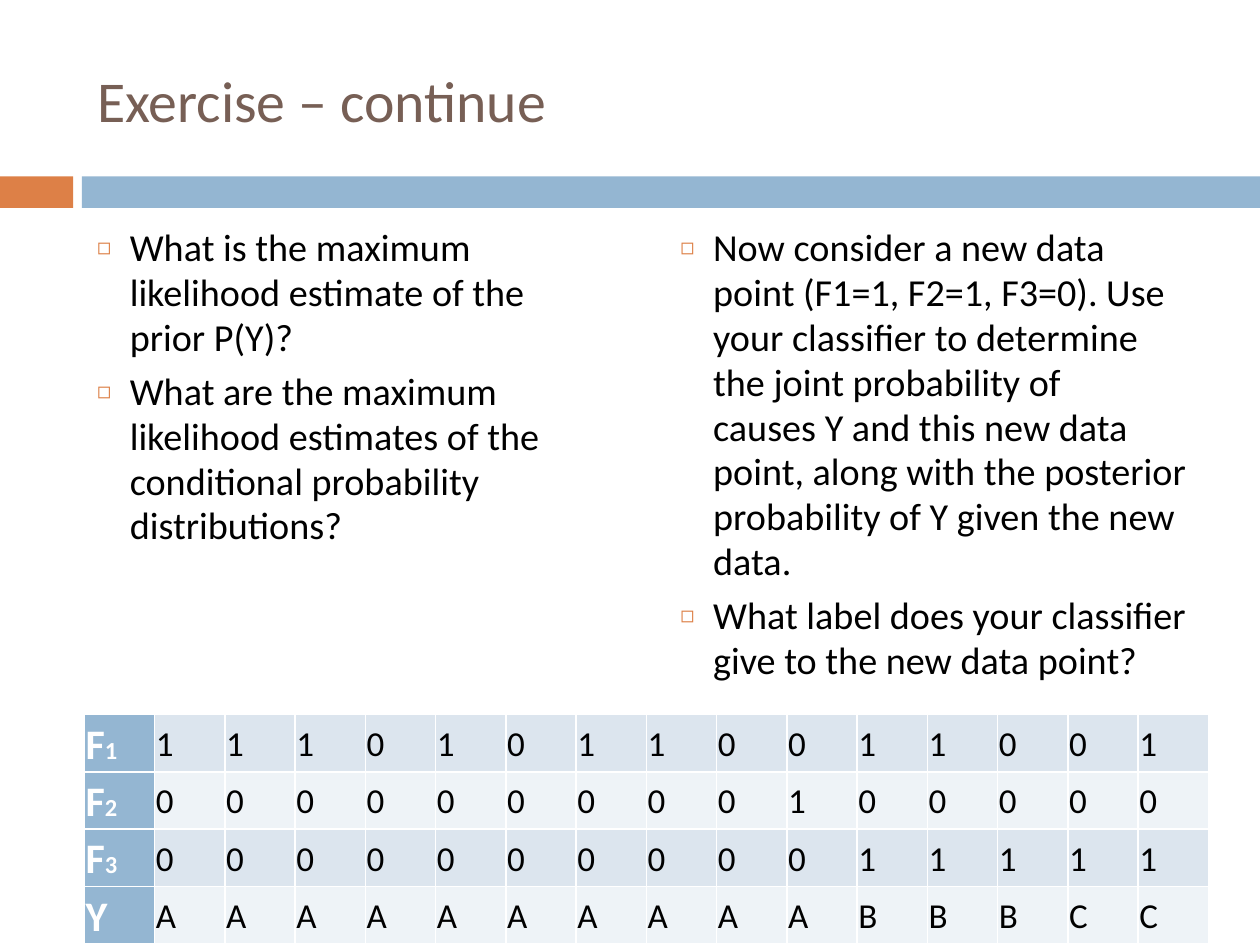
from dataclasses import dataclass

from lxml import etree
from pptx import Presentation
from pptx import util as u
from pptx.dml.color import RGBColor
from pptx.enum import shapes, text
from pptx.oxml import ns

FONT = "Calibri"
BLUE, ORANGE, BROWN = "94B6D2", "DD8047", "775F55"
WHITE, BLACK = "FFFFFF", "000000"
STRIPES = ("DCE5EE", "EEF3F7")


@dataclass
class Band:
    left: float
    width: float
    color: str


@dataclass
class QuestionColumn:
    placeholder: int
    left: float
    questions: tuple[str, ...]


@dataclass
class Feature:
    name: str
    index: str
    values: str


BANDS = (Band(0, 0.58, ORANGE), Band(0.65, 9.35, BLUE))
COLUMNS = (
    QuestionColumn(1, 0.67, (
        "What is the maximum likelihood estimate of the prior\u00a0P(Y)?",
        "What are the maximum likelihood estimates of the conditional "
        "probability distributions?",
    )),
    QuestionColumn(2, 5.3, (
        "Now consider a new data point (F1=1,\u00a0F2=1,\u00a0F3=0). Use your "
        "classifier to determine the joint probability of causes\u00a0Y\u00a0and "
        "this new data point, along with the posterior probability "
        "of\u00a0Y\u00a0given the new data.",
        "What label does your classifier give to the new data point?",
    )),
)
FEATURES = (
    Feature("F", "1", "111010110011001"),
    Feature("F", "2", "000000000100000"),
    Feature("F", "3", "000000000011111"),
    Feature("Y", "", "AAAAAAAAAABBBCC"),
)


def rgb(color: str) -> RGBColor:
    return RGBColor.from_string(color)


def fill(target, color: str) -> None:
    target.fill.solid()
    target.fill.fore_color.rgb = rgb(color)


def style(font, size: float, color: str, bold: bool = False) -> None:
    font.name = FONT
    font.size = u.Pt(size)
    font.bold = bold
    font.color.rgb = rgb(color)


def place(shape, left: float, top: float, width: float, height: float) -> None:
    shape.left, shape.top = u.Inches(left), u.Inches(top)
    shape.width, shape.height = u.Inches(width), u.Inches(height)


def add_child(parent, tag: str, **attributes: str):
    return etree.SubElement(parent, ns.qn(tag), attributes)


def draw_band(slide, band: Band) -> None:
    bar = slide.shapes.add_shape(
        shapes.MSO_SHAPE.RECTANGLE,
        u.Inches(band.left), u.Inches(1.4), u.Inches(band.width), u.Inches(0.25),
    )
    bar.shadow.inherit = False
    bar.line.fill.background()
    fill(bar, band.color)


def write_title(slide, wording: str) -> None:
    title = slide.shapes.title
    place(title, 0.67, 0.25, 8.92, 1.08)
    frame = title.text_frame
    frame.text = wording
    frame.auto_size = text.MSO_AUTO_SIZE.NONE
    frame.vertical_anchor = text.MSO_ANCHOR.MIDDLE
    heading = frame.paragraphs[0]
    heading.alignment = text.PP_ALIGN.LEFT
    style(heading.font, 33, BROWN)


def add_bullet(paragraph) -> None:
    properties = paragraph._p.get_or_add_pPr()
    indent = u.Inches(0.26)
    properties.set("marL", str(indent))
    properties.set("indent", str(-indent))
    add_child(add_child(properties, "a:buClr"), "a:srgbClr", val=ORANGE)
    add_child(properties, "a:buSzPct", val="60000")
    add_child(properties, "a:buChar", char="◻")


def write_questions(slide, column: QuestionColumn) -> None:
    body = slide.placeholders[column.placeholder]
    place(body, column.left, 1.74, 4.25, 5)
    frame = body.text_frame
    frame.text = "\n".join(column.questions)
    frame.auto_size = text.MSO_AUTO_SIZE.NONE
    for question in frame.paragraphs:
        add_bullet(question)
        question.space_before = u.Pt(5.2)
        question.line_spacing = 0.98
        style(question.font, 21.8, BLACK)


def add_borders(cell) -> None:
    properties = cell._tc.get_or_add_tcPr()
    for side in ("a:lnL", "a:lnR", "a:lnT", "a:lnB"):
        border = add_child(properties, side, w=str(u.Pt(1)))
        add_child(add_child(border, "a:solidFill"), "a:srgbClr", val=WHITE)


def format_cell(cell, color: str):
    cell.margin_left = cell.margin_right = u.Inches(0.01)
    cell.margin_top = cell.margin_bottom = u.Inches(0.01)
    cell.vertical_anchor = text.MSO_ANCHOR.MIDDLE
    add_borders(cell)
    fill(cell, color)
    paragraph = cell.text_frame.paragraphs[0]
    paragraph.line_spacing = 1.07
    return paragraph


def draw_features(slide, features: tuple[Feature, ...]) -> None:
    column_count = len(features[0].values) + 1
    table = slide.shapes.add_table(
        len(features), column_count,
        u.Inches(0.67), u.Inches(5.67), u.Inches(8.92), u.Inches(1.4),
    ).table
    table.first_row = table.horz_banding = False
    for row, feature in enumerate(features):
        label = format_cell(table.cell(row, 0), BLUE)
        for wording, size in ((feature.name, 24), (feature.index, 14)):
            if wording:
                part = label.add_run()
                part.text = wording
                style(part.font, size, WHITE, bold=True)
        for column, value in enumerate(feature.values, start=1):
            entry = format_cell(table.cell(row, column), STRIPES[row % 2])
            entry.text = value
            style(entry.font, 20, BLACK)


def main() -> None:
    deck = Presentation()
    deck.slide_width, deck.slide_height = u.Inches(10), u.Inches(7.5)
    slide = deck.slides.add_slide(deck.slide_layouts.get_by_name("Two Content"))
    for band in BANDS:
        draw_band(slide, band)
    write_title(slide, "Exercise – continue")
    for column in COLUMNS:
        write_questions(slide, column)
    draw_features(slide, FEATURES)
    deck.save("out.pptx")


if __name__ == "__main__":
    main()
